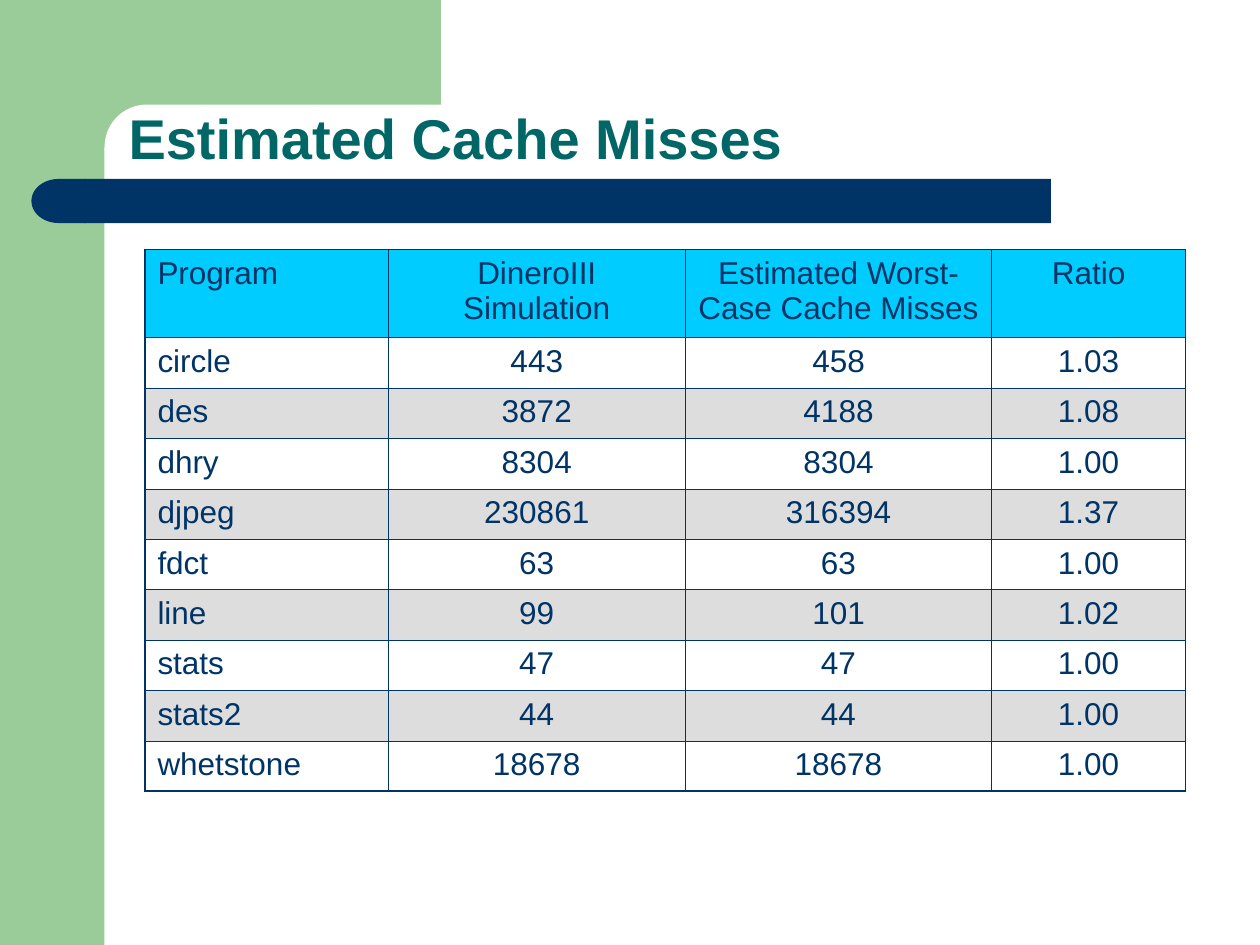
from lxml import etree
from pptx import Presentation
from pptx.dml.color import RGBColor
from pptx.enum.shapes import MSO_SHAPE
from pptx.enum.text import MSO_ANCHOR, MSO_AUTO_SIZE, PP_ALIGN
from pptx.oxml.ns import qn
from pptx.util import Inches, Pt

RECT = MSO_SHAPE.RECTANGLE
ROUNDED = MSO_SHAPE.ROUNDED_RECTANGLE
DELAY = MSO_SHAPE.FLOWCHART_DELAY
LEFT, CENTER = PP_ALIGN.LEFT, PP_ALIGN.CENTER
BOTTOM = MSO_ANCHOR.BOTTOM
NO_AUTOFIT = MSO_AUTO_SIZE.NONE

WHITE = RGBColor(0xFF, 0xFF, 0xFF)
GREEN = RGBColor(0x99, 0xCC, 0x99)
NAVY = RGBColor(0x00, 0x33, 0x66)
TEAL = RGBColor(0x00, 0x66, 0x66)
CYAN = RGBColor(0x00, 0xCC, 0xFF)
GRAY = RGBColor(0xDD, 0xDD, 0xDD)

TITLE_ONLY = 5
THIN, THICK = Pt(0.45), Pt(1.08)

HEADER = ("Program", "DineroIII Simulation",
          "Estimated Worst-Case Cache Misses", "Ratio")
RESULTS = [
    ("circle", "443", "458", "1.03"),
    ("des", "3872", "4188", "1.08"),
    ("dhry", "8304", "8304", "1.00"),
    ("djpeg", "230861", "316394", "1.37"),
    ("fdct", "63", "63", "1.00"),
    ("line", "99", "101", "1.02"),
    ("stats", "47", "47", "1.00"),
    ("stats2", "44", "44", "1.00"),
    ("whetstone", "18678", "18678", "1.00"),
]
COLUMN_WIDTHS = (1.93, 2.36, 2.43, 1.54)
HEADER_HEIGHT, ROW_HEIGHT = 0.7, 0.4


def write(frame, text, size=18, color=NAVY, bold=False, align=LEFT,
          font="Arial", line_spacing=None):
    paragraph = frame.paragraphs[0]
    paragraph.alignment = align
    paragraph.line_spacing = line_spacing
    run = paragraph.add_run()
    run.text = text
    run.font.name = font
    run.font.size = Pt(size)
    run.font.bold = bold
    run.font.color.rgb = color


def set_border(cell, side, width, color=NAVY):
    """Draw one side (L, R, T or B); call before the cell is filled."""
    line = etree.SubElement(cell._tc.get_or_add_tcPr(), qn(f"a:ln{side}"),
                            w=str(int(width)))
    fill = etree.SubElement(line, qn("a:solidFill"))
    etree.SubElement(fill, qn("a:srgbClr"), val=str(color))


class SlideBuilder:
    def __init__(self, slide):
        self.slide = slide

    def shape(self, kind, left, top, width, height, color,
              corner=None, flip=False):
        shape = self.slide.shapes.add_shape(
            kind, Inches(left), Inches(top), Inches(width), Inches(height))
        shape.shadow.inherit = False
        shape.fill.solid()
        shape.fill.fore_color.rgb = color
        shape.line.fill.background()
        if corner is not None:
            shape.adjustments[0] = corner
        if flip:
            shape._element.spPr.find(qn("a:xfrm")).set("flipH", "1")

    def title(self, text, left, top, width, height):
        title = self.slide.shapes.title
        title.left, title.top = Inches(left), Inches(top)
        title.width, title.height = Inches(width), Inches(height)
        frame = title.text_frame
        frame.auto_size = NO_AUTOFIT
        frame.word_wrap = True
        frame.vertical_anchor = BOTTOM
        write(frame, text, size=32, color=TEAL, bold=True, line_spacing=0.9)
        # Bring the title in front of the decoration
        self.slide.shapes._spTree.append(title._element)

    def table(self, rows, left, top):
        heights = [HEADER_HEIGHT] + [ROW_HEIGHT] * (len(rows) - 1)
        table = self.slide.shapes.add_table(
            len(rows), len(COLUMN_WIDTHS), Inches(left), Inches(top),
            Inches(sum(COLUMN_WIDTHS)), Inches(sum(heights))).table
        table.first_row = table.horz_banding = False
        for column, width in zip(table.columns, COLUMN_WIDTHS):
            column.width = Inches(width)
        last_row, last_column = len(rows) - 1, len(COLUMN_WIDTHS) - 1
        for r, (row, height) in enumerate(zip(rows, heights)):
            table.rows[r].height = Inches(height)
            for c, text in enumerate(row):
                cell = table.cell(r, c)
                set_border(cell, "L", THICK if c == 0 else THIN)
                set_border(cell, "R", THICK if c == last_column else THIN)
                set_border(cell, "T", THIN)
                set_border(cell, "B", THICK if r == last_row else THIN)
                if r % 2 and r > 0:
                    cell.fill.background()
                else:
                    cell.fill.solid()
                    cell.fill.fore_color.rgb = GRAY if r else CYAN
                write(cell.text_frame, text, align=CENTER if c else LEFT)


def main():
    deck = Presentation()
    deck.slide_width, deck.slide_height = Inches(10), Inches(7.5)
    page = SlideBuilder(deck.slides.add_slide(deck.slide_layouts[TITLE_ONLY]))

    page.shape(RECT, 0, 0, 0.83, 7.5, GREEN)
    page.shape(RECT, 0.75, 0, 2.75, 1.17, GREEN)
    page.shape(ROUNDED, 0.83, 0.83, 5.58, 0.67, WHITE, corner=0.5)
    page.shape(ROUNDED, 0.67, 1.42, 7.67, 0.35, NAVY, corner=0)
    page.shape(DELAY, 0.25, 1.42, 0.43, 0.35, NAVY, flip=True)
    page.title("Estimated Cache Misses", 0.92, 0.86, 8.75, 0.55)
    page.table([HEADER] + RESULTS, 1.15, 1.98)

    deck.save("out.pptx")


if __name__ == "__main__":
    main()
